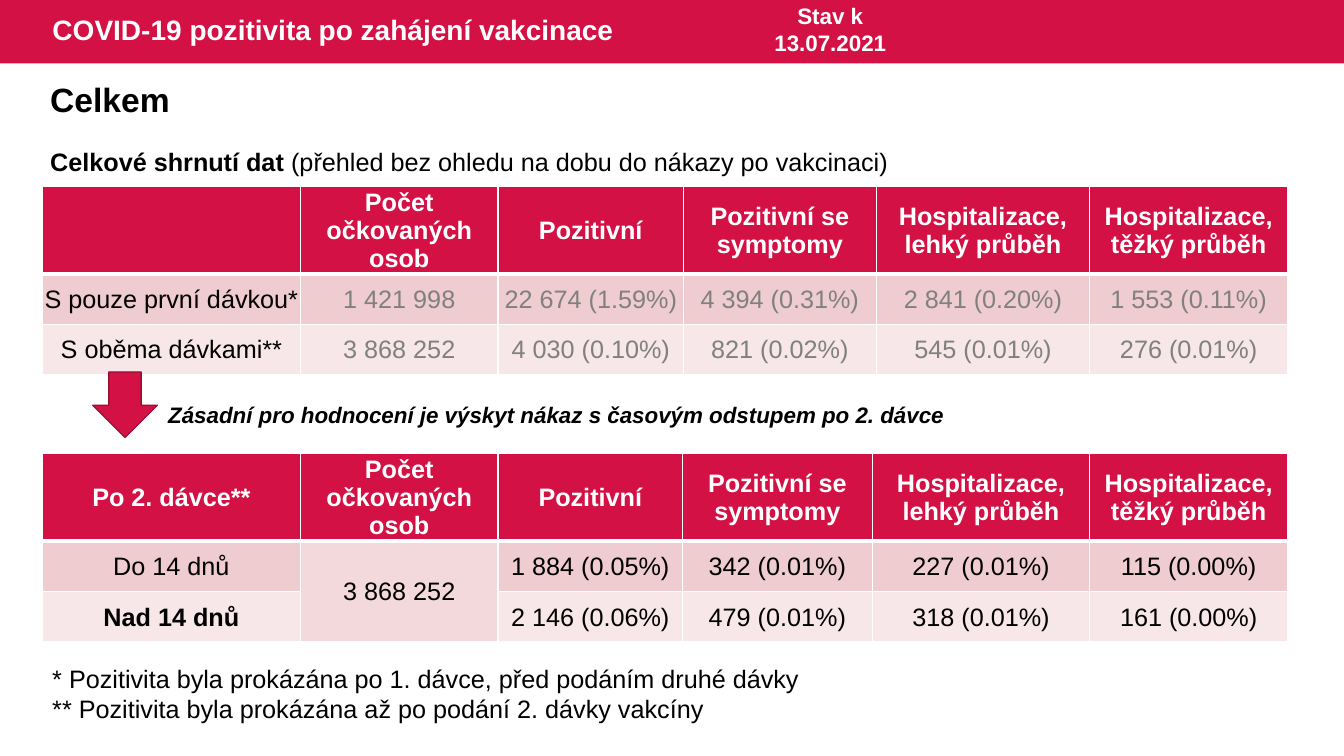
from lxml.etree import SubElement
from pptx import Presentation
from pptx.dml.color import RGBColor
from pptx.enum.shapes import MSO_SHAPE
from pptx.enum.text import MSO_ANCHOR, MSO_AUTO_SIZE, PP_ALIGN
from pptx.oxml.ns import qn
from pptx.util import Pt

PX = 9144  # EMU per px, 100 px to the inch
CRIMSON, WHITE, BLACK, GREY = "D31145", "FFFFFF", "000000", "808080"
ROW_FILLS = [CRIMSON, "EFCCCF", "F7E7E9"]
MERGED_FILL = "F3D9DC"


def color(hex_text):
    return RGBColor.from_string(hex_text)


def write(frame, text, lead="", size=18, ink=BLACK, bold=False, italic=False,
          align=PP_ALIGN.LEFT, spacing=None):
    """Write one paragraph per line; a lead is a bold run before the text."""
    for index, line in enumerate(text.split("\n")):
        paragraph = frame.add_paragraph() if index else frame.paragraphs[0]
        paragraph.alignment = align
        paragraph.line_spacing = spacing
        runs = [(lead, True), (line, bold)] if lead else [(line, bold)]
        for run_text, run_bold in runs:
            run = paragraph.add_run()
            run.text = run_text
            run.font.name = "Arial"
            run.font.size = Pt(size)
            run.font.bold = run_bold
            run.font.italic = italic
            run.font.color.rgb = color(ink)


presentation = Presentation()
presentation.slide_width = 1333 * PX
presentation.slide_height = 750 * PX
slide = presentation.slides.add_slide(presentation.slide_layouts[5])
shapes = slide.shapes

# Header band, with the title in front of it
band = shapes.add_shape(MSO_SHAPE.RECTANGLE, 0, 0, 1333 * PX, 63 * PX)
band.shadow.inherit = False
band.fill.solid()
band.fill.fore_color.rgb = color(CRIMSON)
band.line.fill.background()

title = shapes.title
band._element.addnext(title._element)
title.left, title.top, title.width, title.height = 42 * PX, 0, 590 * PX, 63 * PX
title.text_frame.auto_size = MSO_AUTO_SIZE.NONE
title.text_frame.vertical_anchor = MSO_ANCHOR.MIDDLE
write(title.text_frame, "COVID-19 pozitivita po zahájení vakcinace",
      size=20, ink=WHITE, bold=True, spacing=0.9)

# Tables: top, column widths, first header, colour of the values, data rows
headers = ["Počet očkovaných osob", "Pozitivní", "Pozitivní se symptomy",
           "Hospitalizace, lehký průběh", "Hospitalizace, těžký průběh"]
tables = [
    (185, [256, 196, 184, 191, 212, 196], "", GREY, [
        ["S pouze první dávkou*", "1 421 998", "22 674 (1.59%)",
         "4 394 (0.31%)", "2 841 (0.20%)", "1 553 (0.11%)"],
        ["S oběma dávkami**", "3 868 252", "4 030 (0.10%)",
         "821 (0.02%)", "545 (0.01%)", "276 (0.01%)"]]),
    (450, [256, 196, 183, 188, 216, 196], "Po 2. dávce**", BLACK, [
        ["Do 14 dnů", "3 868 252", "1 884 (0.05%)",
         "342 (0.01%)", "227 (0.01%)", "115 (0.00%)"],
        ["Nad 14 dnů", None, "2 146 (0.06%)",
         "479 (0.01%)", "318 (0.01%)", "161 (0.00%)"]]),
]
row_heights = [87, 50, 50]

for top, widths, first_header, value_ink, data in tables:
    table = shapes.add_table(3, 6, 42 * PX, top * PX, sum(widths) * PX,
                             sum(row_heights) * PX).table
    for column, width in zip(table.columns, widths):
        column.width = width * PX
    for row, height in zip(table.rows, row_heights):
        row.height = height * PX

    for r, values in enumerate([[first_header] + headers] + data):
        for c, text in enumerate(values):
            cell = table.cell(r, c)
            # Thin white grid with a thick rule under the header
            properties = cell._tc.get_or_add_tcPr()
            for side in "LRTB":
                thick = (r, side) in [(0, "B"), (1, "T")]
                border = SubElement(properties, qn("a:ln" + side),
                                    w=str(Pt(3 if thick else 1)))
                border_fill = SubElement(border, qn("a:solidFill"))
                SubElement(border_fill, qn("a:srgbClr"), val=WHITE)
            cell.fill.solid()
            cell.fill.fore_color.rgb = color(ROW_FILLS[r])
            cell.margin_left = cell.margin_right = cell.margin_top = PX
            cell.margin_bottom = 0
            cell.vertical_anchor = MSO_ANCHOR.MIDDLE
            if text is None:  # joined with the cell above
                above = table.cell(r - 1, c)
                above.merge(cell)
                above.fill.fore_color.rgb = color(MERGED_FILL)
            elif text:
                ink = WHITE if r == 0 else value_ink if c else BLACK
                write(cell.text_frame, text, ink=ink, align=PP_ALIGN.CENTER,
                      bold=r == 0 or text == "Nad 14 dnů")

# Arrow to the second table
arrow = shapes.add_shape(MSO_SHAPE.DOWN_ARROW, 92 * PX, 369 * PX, 64 * PX, 65 * PX)
arrow.shadow.inherit = False
arrow.fill.solid()
arrow.fill.fore_color.rgb = color(CRIMSON)
arrow.line.color.rgb = color("9C0D33")
arrow.line.width = Pt(1)

# Text boxes: left, top, width, height, wrap, text, format
notes = ("* Pozitivita byla prokázána po 1. dávce, před podáním druhé dávky\n"
         "** Pozitivita byla prokázána až po podání 2. dávky vakcíny")
labels = [
    (40, 140, 916, 40, True, "(přehled bez ohledu na dobu do nákazy po vakcinaci)",
     dict(lead="Celkové shrnutí dat ")),
    (747, -3, 153, 64, True, "Stav k 13.07.2021",
     dict(size=16, ink=WHITE, bold=True, align=PP_ALIGN.CENTER)),
    (40, 73, 140, 50, False, "Celkem", dict(size=24, bold=True)),
    (42, 653, 1234, 71, True, notes, {}),
    (157, 393, 854, 37, True,
     "Zásadní pro hodnocení je výskyt nákaz s časovým odstupem po 2. dávce",
     dict(size=16, bold=True, italic=True)),
]
for left, top, width, height, wrap, text, text_format in labels:
    box = shapes.add_textbox(left * PX, top * PX, width * PX, height * PX)
    box.text_frame.word_wrap = wrap
    box.text_frame.auto_size = MSO_AUTO_SIZE.SHAPE_TO_FIT_TEXT
    write(box.text_frame, text, **text_format)

presentation.save("out.pptx")
